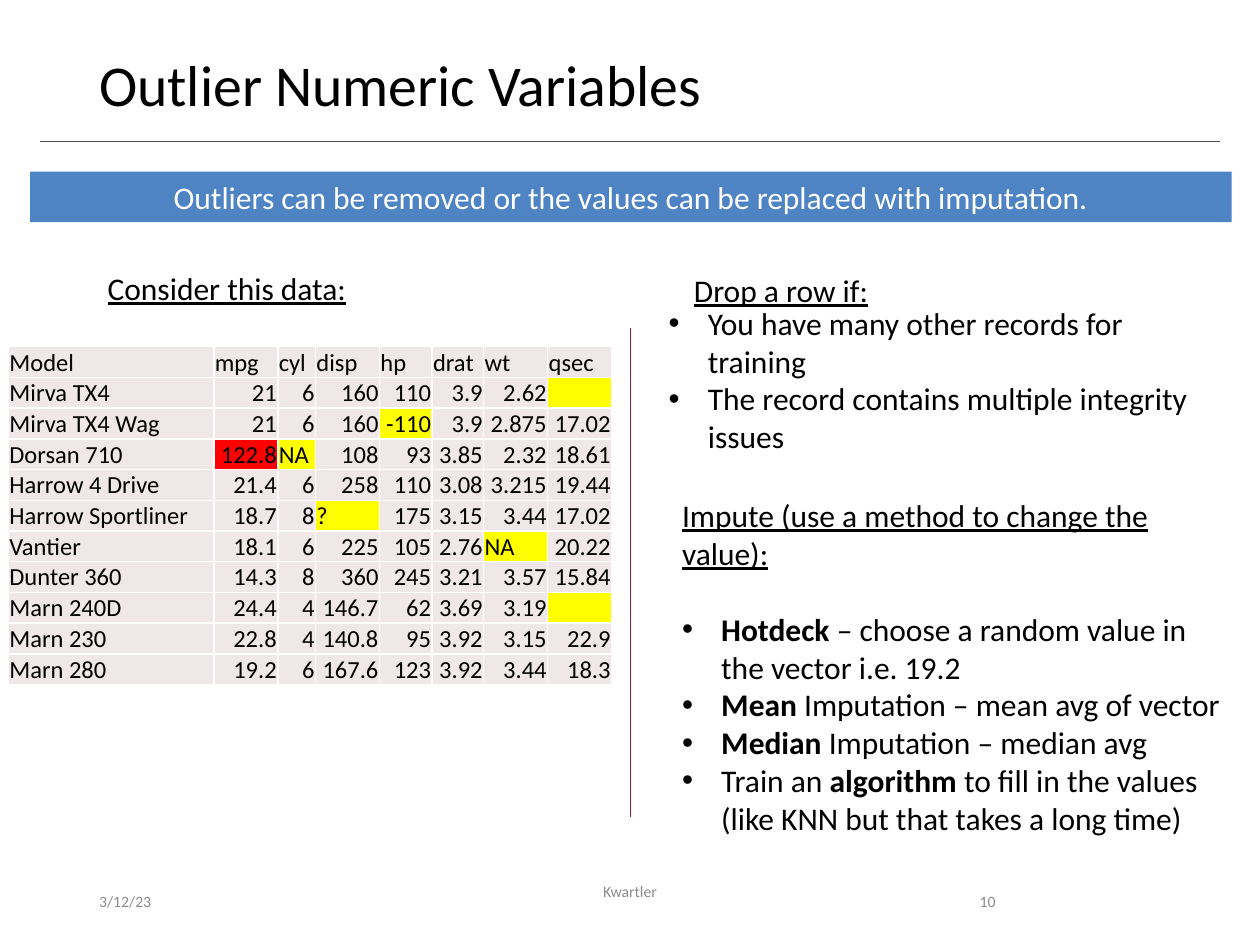
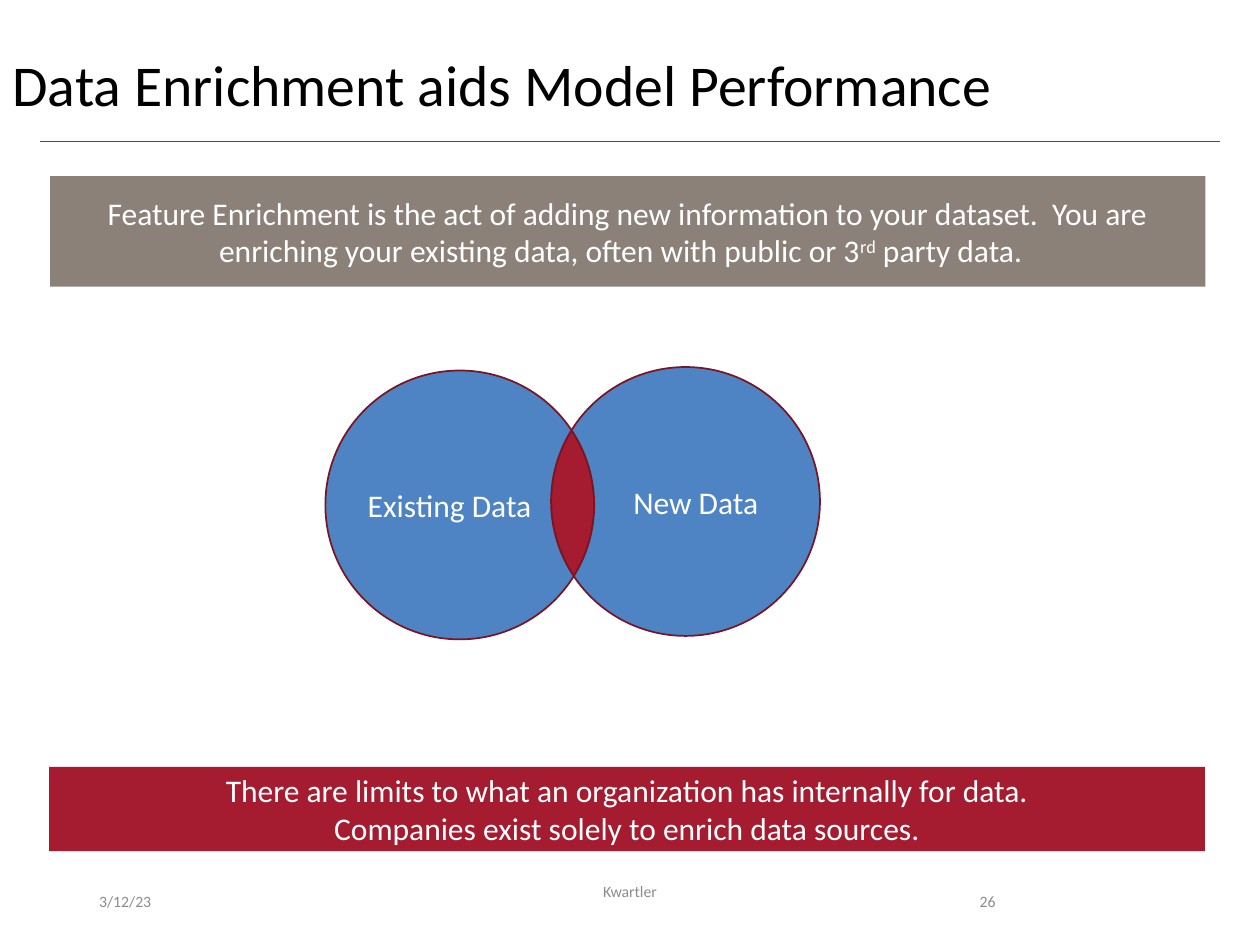
from dataclasses import dataclass
from math import acos, atan2, ceil, cos, dist, floor, pi, sin, tan

from lxml.etree import SubElement
from pptx import Presentation
from pptx.dml.color import RGBColor
from pptx.enum.shapes import MSO_CONNECTOR, MSO_SHAPE
from pptx.enum.text import MSO_ANCHOR, PP_ALIGN
from pptx.oxml.ns import qn
from pptx.util import Cm, Pt


@dataclass(frozen=True)
class Theme:
    font: str = "Calibri"
    title_size: float = 33
    body_size: float = 18
    table_size: float = 14
    footer_size: float = 9
    black: str = "000000"
    white: str = "FFFFFF"
    rule: str = "4D4D4D"
    footer: str = "8C8C8C"
    blue: str = "4E84C4"
    taupe: str = "8C8179"
    crimson: str = "A51C30"
    dark_crimson: str = "7A1524"
    cell: str = "F0E8E8"
    yellow: str = "FFFF00"
    red: str = "FF0000"


THEME = Theme()

# Boxes are left, top, width, height in centimetres.
DATE_BOX = (1.75, 17.65, 5.72, 1.02)
AUTHOR_BOX = (8.41, 17.65, 8.58, 1.02)
NUMBER_BOX = (17.93, 17.65, 2.39, 1.02)

# A paragraph is a string or a list of (text, style) runs.
DROP_REASONS = [
    "You have many other records for training",
    "The record contains multiple integrity issues",
]
IMPUTE_HEADING = "Impute (use a method to change the value):"
IMPUTE_METHODS = [
    [("Hotdeck", "bold"), (" – choose a random value in the vector i.e. 19.2", "")],
    [("Mean", "bold"), (" Imputation – mean avg of vector", "")],
    [("Median", "bold"), (" Imputation – median avg", "")],
    [("Train an ", ""), ("algorithm", "bold"),
     (" to fill in the values (like KNN but that takes a long time)", "")],
]
ENRICHMENT = [
    ("Feature Enrichment is the act of adding new information to your dataset.  "
     "You are enriching your existing data, often with public or 3", ""),
    ("rd", "superscript"), (" party data.  ", ""),
]
LIMITS = [
    "There are limits to what an organization has internally for data.",
    "Companies exist solely to enrich data sources.",
]

CAR_COLUMNS = [("Model", 4.14), ("mpg", 1.29), ("cyl", 0.76), ("disp", 1.29),
               ("hp", 1.06), ("drat", 1.04), ("wt", 1.29), ("qsec", 1.29)]
CARS = [
    ("Mirva TX4", "21", "6", "160", "110", "3.9", "2.62", ""),
    ("Mirva TX4 Wag", "21", "6", "160", "-110", "3.9", "2.875", "17.02"),
    ("Dorsan 710", "122.8", "NA", "108", "93", "3.85", "2.32", "18.61"),
    ("Harrow 4 Drive", "21.4", "6", "258", "110", "3.08", "3.215", "19.44"),
    ("Harrow Sportliner", "18.7", "8", "?", "175", "3.15", "3.44", "17.02"),
    ("Vantier", "18.1", "6", "225", "105", "2.76", "NA", "20.22"),
    ("Dunter 360", "14.3", "8", "360", "245", "3.21", "3.57", "15.84"),
    ("Marn 240D", "24.4", "4", "146.7", "62", "3.69", "3.19", ""),
    ("Marn 230", "22.8", "4", "140.8", "95", "3.92", "3.15", "22.9"),
    ("Marn 280", "19.2", "6", "167.6", "123", "3.92", "3.44", "18.3"),
]
SUSPECT_FILLS = {"": THEME.yellow, "NA": THEME.yellow, "?": THEME.yellow,
                 "-110": THEME.yellow, "122.8": THEME.red}
TABLE_HEIGHT = 6.81

CIRCLE_RADIUS = 2.71
EXISTING_CENTRE = (9.27, 10.18)
NEW_CENTRE = (13.82, 10.11)


def rgb(colour):
    return RGBColor.from_string(colour)


def style_font(font, size, colour):
    font.name, font.size = THEME.font, Pt(size)
    font.color.rgb = rgb(colour)


def add_bullet(paragraph):
    properties = paragraph._p.get_or_add_pPr()
    properties.set("marL", str(Cm(0.79)))
    properties.set("indent", str(-Cm(0.79)))
    bullet_font = SubElement(properties, qn("a:buFont"))
    bullet_font.set("typeface", "Arial")
    SubElement(properties, qn("a:buChar")).set("char", "•")


def write(frame, paragraphs, size=THEME.body_size, colour=THEME.black,
          align=PP_ALIGN.LEFT, anchor=MSO_ANCHOR.TOP, bullets=False, underline=False):
    """Append paragraphs to a text frame, starting in its empty first one."""
    frame.word_wrap = True
    frame.vertical_anchor = anchor
    for content in paragraphs:
        first = frame.paragraphs[0]
        paragraph = frame.add_paragraph() if first.runs else first
        paragraph.alignment = align
        if bullets:
            add_bullet(paragraph)
        style_font(paragraph.font, size, colour)
        if underline:
            paragraph.font.underline = True
        runs = [(content, "")] if isinstance(content, str) else content
        for text, style in runs:
            run = paragraph.add_run()
            run.text = text
            if style == "bold":
                run.font.bold = True
            elif style == "superscript":
                run._r.get_or_add_rPr().set("baseline", "30000")


def add_text(slide, box, paragraphs, **style):
    frame = slide.shapes.add_textbox(*map(Cm, box)).text_frame
    write(frame, paragraphs, **style)
    return frame


def add_rule(slide, start, end, colour):
    rule = slide.shapes.add_connector(MSO_CONNECTOR.STRAIGHT, *map(Cm, start + end))
    rule.line.color.rgb = rgb(colour)
    rule.line.width = Pt(0.5)
    SubElement(rule._element.spPr, qn("a:effectLst"))


def paint(shape, fill, outline=None):
    shape.shadow.inherit = False
    shape.fill.solid()
    shape.fill.fore_color.rgb = rgb(fill)
    if outline:
        shape.line.color.rgb = rgb(outline)
        shape.line.width = Pt(1)
    else:
        shape.line.fill.background()


def add_band(slide, box, fill, paragraphs):
    band = slide.shapes.add_shape(MSO_SHAPE.RECTANGLE, *map(Cm, box))
    paint(band, fill)
    write(band.text_frame, paragraphs, colour=THEME.white,
          align=PP_ALIGN.CENTER, anchor=MSO_ANCHOR.MIDDLE)


def add_base_slide(presentation, title, title_left, number):
    """Add a slide with the shared title, rule and footers."""
    slide = presentation.slides.add_slide(presentation.slide_layouts[6])
    add_rule(slide, (0.81, 2.85), (24.59, 2.85), THEME.rule)
    title_box = (title_left, 1.02, 23.65 - title_left, 1.65)
    frame = add_text(slide, title_box, [title], size=THEME.title_size)
    frame.paragraphs[0].line_spacing = 0.9
    for box, text, align, anchor in (
        (DATE_BOX, "3/12/23", PP_ALIGN.LEFT, MSO_ANCHOR.MIDDLE),
        (AUTHOR_BOX, "Kwartler", PP_ALIGN.CENTER, MSO_ANCHOR.TOP),
        (NUMBER_BOX, number, PP_ALIGN.RIGHT, MSO_ANCHOR.MIDDLE),
    ):
        add_text(slide, box, [text], size=THEME.footer_size, colour=THEME.footer,
                 align=align, anchor=anchor)
    return slide


def add_cell_borders(cell):
    properties = cell._tc.get_or_add_tcPr()
    for position, side in enumerate(("a:lnL", "a:lnR", "a:lnT", "a:lnB")):
        border = properties.makeelement(qn(side), {"w": str(Pt(1))})
        fill = SubElement(border, qn("a:solidFill"))
        SubElement(fill, qn("a:srgbClr")).set("val", THEME.white)
        properties.insert(position, border)


def fill_cell(cell, value, is_model):
    cell.margin_left = cell.margin_right = cell.margin_top = Cm(0.02)
    cell.margin_bottom = 0
    cell.fill.solid()
    cell.fill.fore_color.rgb = rgb(SUSPECT_FILLS.get(value, THEME.cell))
    add_cell_borders(cell)
    if value:
        is_number = not is_model and value[-1].isdigit()
        write(cell.text_frame, [value], size=THEME.table_size,
              align=PP_ALIGN.RIGHT if is_number else PP_ALIGN.LEFT)
    else:
        end = SubElement(cell.text_frame.paragraphs[0]._p, qn("a:endParaRPr"))
        end.set("sz", str(THEME.table_size * 100))
    cell.vertical_anchor = MSO_ANCHOR.MIDDLE if is_model else MSO_ANCHOR.BOTTOM


def add_car_table(slide):
    headers, widths = zip(*CAR_COLUMNS)
    rows = [headers, *CARS]
    table = slide.shapes.add_table(
        len(rows), len(headers), Cm(0.17), Cm(6.99),
        Cm(sum(widths)), Cm(TABLE_HEIGHT)).table
    for column, width in zip(table.columns, widths):
        column.width = Cm(width)
    for row_index, values in enumerate(rows):
        for column_index, value in enumerate(values):
            fill_cell(table.cell(row_index, column_index), value, column_index == 0)


def arc_curves(centre, start, end):
    """Return an arc as cubic curves of four points, split at each quarter turn."""
    low, high = sorted((start, end))
    quarters = [turn * pi / 2 for turn in range(ceil(low / (pi / 2)), floor(high / (pi / 2)) + 1)]
    knots = sorted({low, *quarters, high}, reverse=start > end)

    def point(angle, pull=0):
        x = cos(angle) - pull * sin(angle)
        y = sin(angle) + pull * cos(angle)
        return Cm(centre[0] + CIRCLE_RADIUS * x), Cm(centre[1] + CIRCLE_RADIUS * y)

    curves = []
    for first, last in zip(knots, knots[1:]):
        pull = 4 / 3 * tan((last - first) / 4)
        curves.append((point(first), point(first, pull), point(last, -pull), point(last)))
    return curves


def add_region(slide, arcs, fill, label=None):
    curves = [curve for arc in arcs for curve in arc_curves(*arc)]
    builder = slide.shapes.build_freeform(*curves[0][0])
    builder.add_line_segments([curve[-1] for curve in curves], close=True)
    region = builder.convert_to_shape()
    for line, curve in zip(list(region._element.iter(qn("a:lnTo"))), curves):
        bend = line.makeelement(qn("a:cubicBezTo"), {})
        for x, y in curve[1:]:
            corner = SubElement(bend, qn("a:pt"))
            corner.set("x", str(x - region.left))
            corner.set("y", str(y - region.top))
        line.getparent().replace(line, bend)
    paint(region, fill, THEME.dark_crimson)
    if label:
        write(region.text_frame, [label], colour=THEME.white,
              align=PP_ALIGN.CENTER, anchor=MSO_ANCHOR.MIDDLE)


def add_venn(slide):
    """Draw two overlapping circles as a lens and two crescents."""
    axis = atan2(NEW_CENTRE[1] - EXISTING_CENTRE[1], NEW_CENTRE[0] - EXISTING_CENTRE[0])
    half = acos(dist(EXISTING_CENTRE, NEW_CENTRE) / 2 / CIRCLE_RADIUS)
    top, bottom = axis - half, axis + half
    existing_outer = (EXISTING_CENTRE, bottom, top + 2 * pi)
    new_outer = (NEW_CENTRE, bottom + pi, top + 3 * pi)
    add_region(slide, [(EXISTING_CENTRE, top, bottom), (NEW_CENTRE, top + pi, bottom + pi)],
               THEME.crimson)
    add_region(slide, [new_outer, (EXISTING_CENTRE, bottom, top)], THEME.blue, "New Data")
    add_region(slide, [existing_outer, (NEW_CENTRE, bottom + pi, top + pi)],
               THEME.blue, "Existing Data")


def add_outlier_slide(presentation):
    slide = add_base_slide(presentation, "Outlier Numeric Variables", 1.75, "10")
    add_band(slide, (0.61, 3.46, 24.22, 1.02), THEME.blue,
             ["Outliers can be removed or the values can be replaced with imputation."])
    add_text(slide, (1.92, 5.29, 5.5, 1.02), ["Consider this data:"], underline=True)
    add_text(slide, (13.74, 5.33, 4.1, 1.02), ["Drop a row if:"], underline=True)
    add_text(slide, (13.23, 6, 11.18, 3.33), DROP_REASONS, bullets=True)
    add_rule(slide, (12.7, 6.61), (12.7, 16.46), THEME.crimson)
    add_car_table(slide)
    frame = add_text(slide, (13.5, 9.87, 11.4, 7.19), [IMPUTE_HEADING], underline=True)
    frame.paragraphs[0].space_after = Pt(22)
    write(frame, IMPUTE_METHODS, bullets=True)


def add_enrichment_slide(presentation):
    slide = add_base_slide(presentation, "Data Enrichment aids Model Performance", 0, "26")
    add_band(slide, (1.01, 3.55, 23.29, 2.23), THEME.taupe, [ENRICHMENT])
    add_band(slide, (0.99, 15.46, 23.3, 1.7), THEME.crimson, LIMITS)
    add_venn(slide)


def main():
    presentation = Presentation()
    presentation.slide_width, presentation.slide_height = Cm(25.4), Cm(19.05)
    add_outlier_slide(presentation)
    add_enrichment_slide(presentation)
    presentation.save("out.pptx")


if __name__ == "__main__":
    main()
